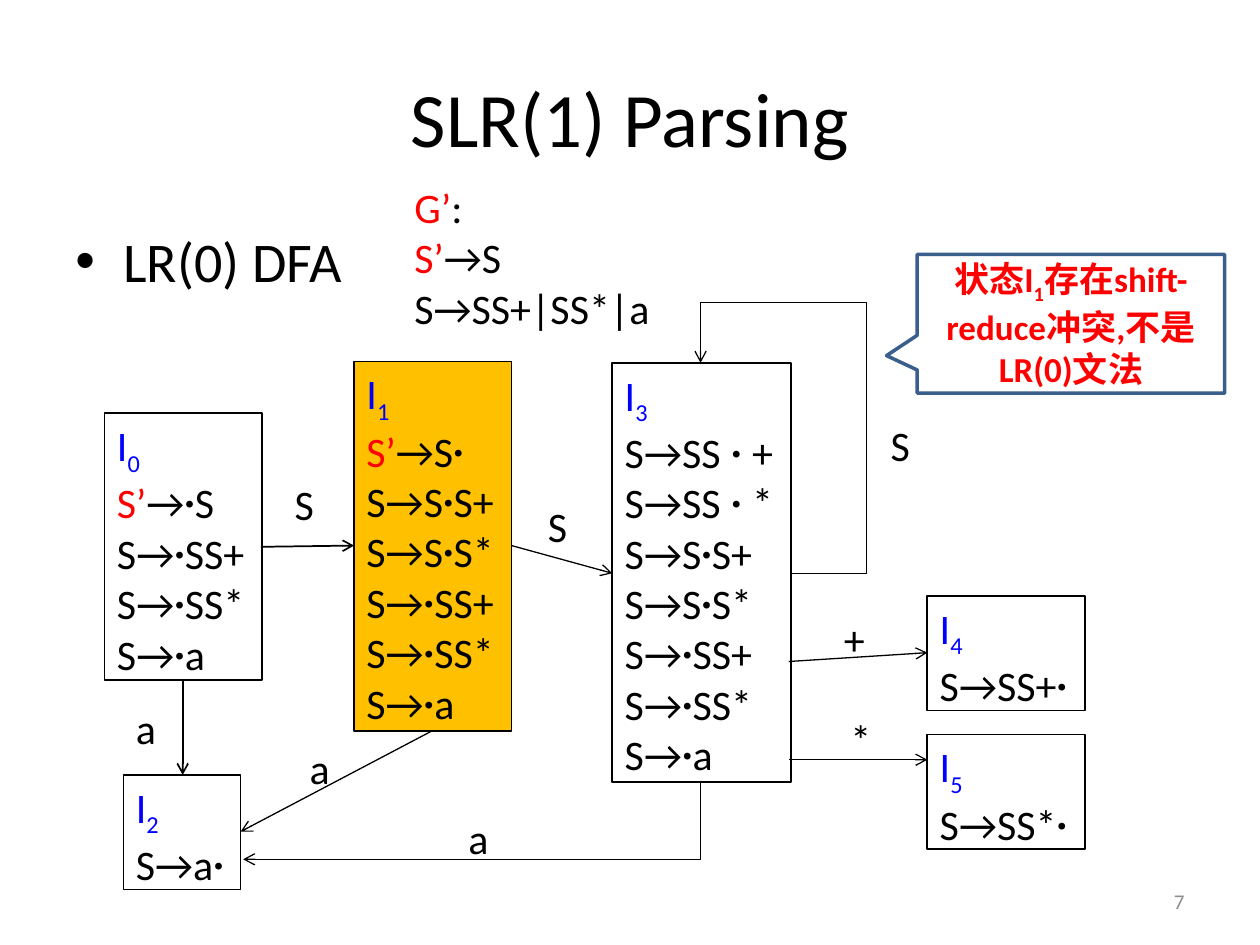
from dataclasses import dataclass
from itertools import groupby

from lxml import etree
from pptx import Presentation
from pptx.dml.color import RGBColor
from pptx.enum.shapes import MSO_CONNECTOR, MSO_SHAPE
from pptx.enum.text import MSO_ANCHOR, MSO_AUTO_SIZE, PP_ALIGN
from pptx.oxml.ns import qn
from pptx.util import Inches, Pt

STRAIGHT, ELBOW = MSO_CONNECTOR.STRAIGHT, MSO_CONNECTOR.ELBOW
RECT, BUBBLE = MSO_SHAPE.RECTANGLE, MSO_SHAPE.RECTANGULAR_CALLOUT
TOP, MIDDLE = MSO_ANCHOR.TOP, MSO_ANCHOR.MIDDLE
LEFT, CENTER, RIGHT = PP_ALIGN.LEFT, PP_ALIGN.CENTER, PP_ALIGN.RIGHT
GROW = MSO_AUTO_SIZE.SHAPE_TO_FIT_TEXT


@dataclass(frozen=True)
class Theme:
    ink: str = "000000"
    red: str = "FF0000"
    blue: str = "0000FF"
    gold: str = "FFC000"
    paper: str = "FFFFFF"
    edge: str = "3A5F8C"
    gray: str = "8C8C8C"
    font: str = "Calibri"
    serif: str = "Times New Roman"
    title: int = 44
    body: int = 32
    item: int = 24
    note: int = 20
    small: int = 12


THEME = Theme()


def color(code):
    return RGBColor.from_string(code)


def add_run(para, text, size=THEME.item, ink=THEME.ink, bold=False,
            font=THEME.font, sub=False):
    run = para.add_run()
    run.text = text
    run.font.size = Pt(size)
    run.font.name = font
    run.font.bold = bold
    run.font.color.rgb = color(ink)
    if sub:
        run.font._element.set("baseline", "-25000")


def add_rule(para, text):
    head = "S’"
    if text.startswith(head):
        add_run(para, head, ink=THEME.red)
        text = text[len(head):]
    for dot, chars in groupby(text, lambda char: char in "∙ "):
        add_run(para, "".join(chars), bold=dot,
                font=THEME.serif if dot else THEME.font)


def set_frame(shape, wrap=True, anchor=TOP, align=LEFT):
    frame = shape.text_frame
    frame.word_wrap = wrap
    frame.vertical_anchor = anchor
    if not wrap:
        frame.auto_size = GROW
    para = frame.paragraphs[0]
    para.alignment = align
    return para


def add_box(slide, box, **style):
    shape = slide.shapes.add_textbox(*map(Inches, box))
    return shape, set_frame(shape, **style)


def add_shape(slide, kind, box, fill, edge, width, **style):
    shape = slide.shapes.add_shape(kind, *map(Inches, box))
    shape.shadow.inherit = False
    if fill:
        shape.fill.solid()
        shape.fill.fore_color.rgb = color(fill)
    else:
        shape.fill.background()
    shape.line.color.rgb = color(edge)
    shape.line.width = Pt(width)
    return shape, set_frame(shape, **style)


def add_title(slide, box):
    _, para = add_box(slide, box, anchor=MIDDLE, align=CENTER)
    add_run(para, "SLR(1) Parsing", THEME.title)


def add_body(slide, box):
    _, para = add_box(slide, box)
    props = para._p.get_or_add_pPr()
    props.set("marL", str(Inches(0.38)))
    props.set("indent", str(-Inches(0.38)))
    font = etree.SubElement(props, qn("a:buFont"))
    font.set("typeface", "Arial")
    etree.SubElement(props, qn("a:buChar")).set("char", "•")
    add_run(para, "LR(0) DFA", THEME.body)


def add_grammar(slide, box):
    shape, para = add_box(slide, box, wrap=False)
    add_run(para, "G’", ink=THEME.red)
    add_run(para, ":")
    for rule in ("S’→S", "S→SS+|SS*|a"):
        add_rule(shape.text_frame.add_paragraph(), rule)


def add_state(slide, box, name, rules, fill=None):
    shape, para = add_shape(slide, RECT, box, fill, THEME.ink, 1, wrap=False)
    add_run(para, "I", ink=THEME.blue)
    add_run(para, name, ink=THEME.blue, sub=True)
    for rule in rules:
        add_rule(shape.text_frame.add_paragraph(), rule)


def add_arrow(slide, start, end, width=0.75, kind=STRAIGHT):
    arrow = slide.shapes.add_connector(kind, *map(Inches, start + end))
    arrow.line.color.rgb = color(THEME.ink)
    arrow.line.width = Pt(width)
    tail = etree.SubElement(arrow.line._get_or_add_ln(), qn("a:tailEnd"))
    tail.set("type", "arrow")
    etree.SubElement(arrow._element.spPr, qn("a:effectLst"))
    return arrow


def add_bend(slide, start, end, preset, turn=0, bends=()):
    props = add_arrow(slide, start, end, kind=ELBOW)._element.spPr
    if turn:
        props.find(qn("a:xfrm")).set("rot", str(turn * 60000))
    shape = props.find(qn("a:prstGeom"))
    shape.set("prst", preset)
    guides = shape.find(qn("a:avLst"))
    for index, bend in enumerate(bends, 1):
        guide = etree.SubElement(guides, qn("a:gd"))
        guide.set("name", f"adj{index}")
        guide.set("fmla", f"val {bend}")


def add_graph(slide, box):
    left, top, _, _ = box

    def at(x, y):
        return left + x, top + y

    base = ("S→∙SS+", "S→∙SS*", "S→∙a")
    shift = ("S→S∙S+", "S→S∙S*")
    states = (
        (0, 0.41, 1.25, 2.12, ("S’→∙S", *base), None),
        (1.98, 0, 1.25, 2.93, ("S’→S∙", *shift, *base), THEME.gold),
        (0.15, 3.28, 0.93, 0.91, ("S→a∙",), None),
        (4.03, 0.01, 1.42, 3.33,
         ("S→SS ∙ +", "S→SS ∙ *", *shift, *base), None),
        (6.53, 1.86, 1.25, 0.91, ("S→SS+∙",), None),
        (6.53, 2.96, 1.25, 0.91, ("S→SS*∙",), None),
    )
    for index, (x, y, wide, high, rules, fill) in enumerate(states):
        add_state(slide, (*at(x, y), wide, high), str(index), rules, fill)

    arrows = (
        ((1.24, 1.47), (1.98, 1.46), 1),
        ((0.62, 2.53), (0.62, 3.28), 1),
        ((2.6, 2.93), (1.08, 3.73), 0.75),
        ((3.23, 1.46), (4.03, 1.68), 0.75),
        ((5.43, 2.38), (6.53, 2.31), 0.75),
        ((5.43, 3.16), (6.53, 3.16), 0.75),
    )
    for start, end, width in arrows:
        add_arrow(slide, at(*start), at(*end), width)
    add_bend(slide, at(2.61, 1.83), at(3.22, 5.46), "bentConnector2", 90)
    add_bend(slide, at(5.44, 1.68), at(4.73, 0.01), "bentConnector4",
             bends=(-85500, 128600))

    labels = (
        ("S", 1.41, 0.88), ("a", 0.15, 2.66), ("a", 1.53, 2.97),
        ("S", 3.42, 1.05), ("a", 2.79, 3.53), ("+", 5.77, 1.95),
        ("*", 5.82, 2.74), ("S", 6.14, 0.41),
    )
    for text, x, y in labels:
        wide = 0.37 if text == "*" else 0.44
        _, para = add_box(slide, (*at(x, y), wide, 0.5), wrap=False)
        add_run(para, text)


def add_note(slide, box):
    shape, para = add_shape(slide, BUBBLE, box, THEME.paper, THEME.edge, 2,
                            anchor=MIDDLE, align=CENTER)
    shape.adjustments[0] = -0.6
    shape.adjustments[1] = 0.23
    parts = (("状态I", False), ("1", True),
             ("存在shift-reduce冲突,不是LR(0)文法", False))
    for text, sub in parts:
        add_run(para, text, THEME.note, THEME.red, bold=True, sub=sub)


def add_number(slide, box):
    _, para = add_box(slide, box, anchor=MIDDLE, align=RIGHT)
    add_run(para, "7", THEME.small, THEME.gray)


def main():
    deck = Presentation()
    deck.slide_width, deck.slide_height = Inches(10), Inches(7.5)
    slide = deck.slides.add_slide(deck.slide_layouts[6])
    add_title(slide, (0.5, 0.3, 9, 1.25))
    add_body(slide, (0.5, 1.75, 9, 4.95))
    add_grammar(slide, (3.19, 1.39, 2.15, 1.31))
    add_graph(slide, (0.83, 2.87, 7.78, 4.19))
    add_note(slide, (7.28, 2.02, 2.44, 1.1))
    add_number(slide, (7.17, 6.95, 2.33, 0.4))
    deck.save("out.pptx")


if __name__ == "__main__":
    main()
